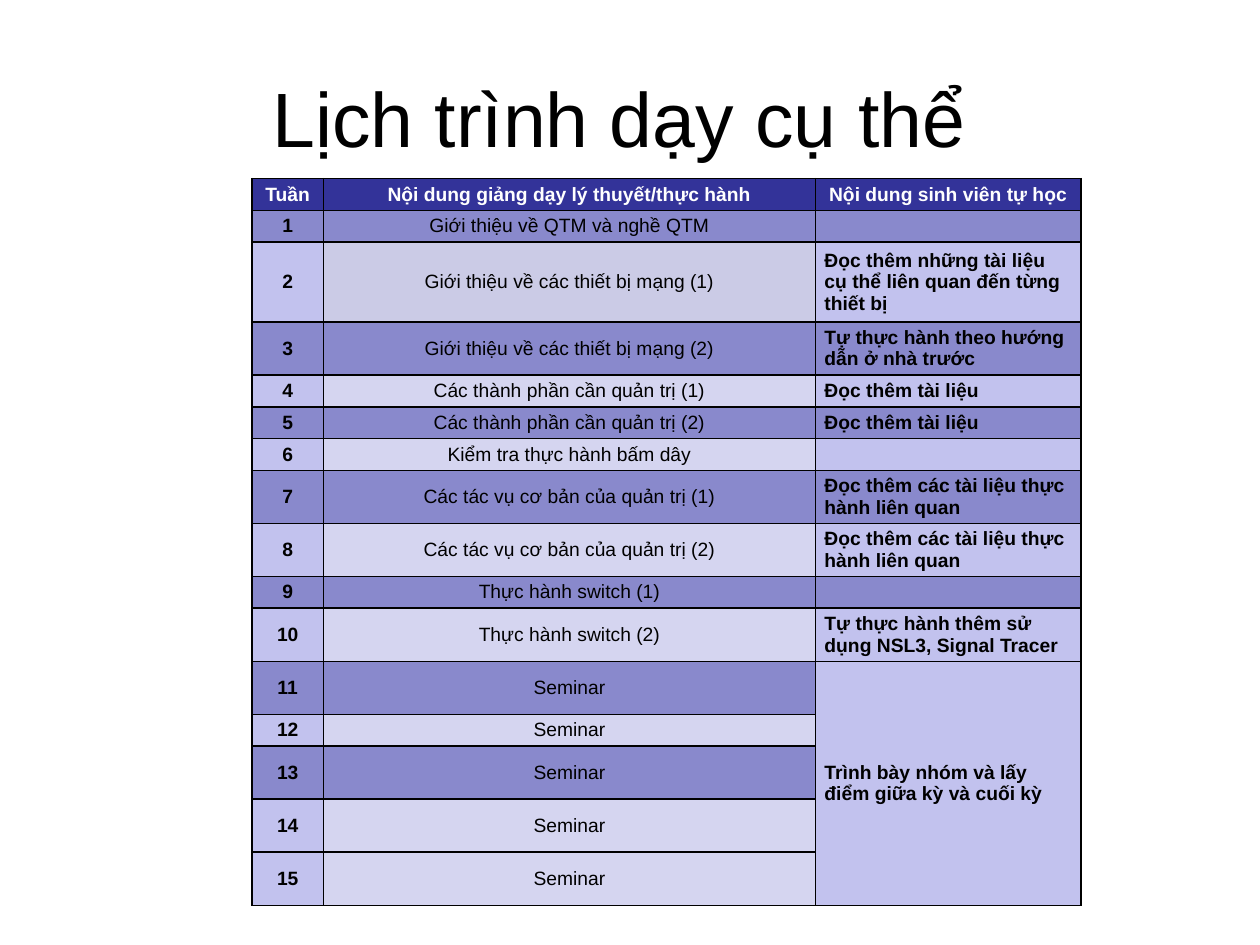
from lxml import etree
from pptx import Presentation
from pptx import util as u
from pptx.dml.color import RGBColor
from pptx.enum import text
from pptx.oxml.ns import qn

COLORS = {
    "ink": "000000", "paper": "FFFFFF", "header": "333399",
    "dark": "8989CC", "light": "C2C2EE", "topic": "D5D5F0", "topic_gray": "CBCBE6",
}
CENTER, LEFT = text.PP_ALIGN.CENTER, text.PP_ALIGN.LEFT
HEADINGS = ("Tuần", "Nội dung giảng dạy lý thuyết/thực hành", "Nội dung sinh viên tự học")
SHORT, MEDIUM, TALL = 0.64, 1.07, 1.61
COLUMN_WIDTHS = (1.44, 9.92, 5.35)
SEMINAR_START = 11

# Topic, self-study task and row height for weeks 1 to 15
WEEKS = [
    ("Giới thiệu về QTM và nghề QTM", "", SHORT),
    ("Giới thiệu về các thiết bị mạng (1)",
     "Đọc thêm những tài liệu cụ thể liên quan đến từng thiết bị ", TALL),
    ("Giới thiệu về các thiết bị mạng (2)", "Tự thực hành theo hướng dẫn ở nhà trước", MEDIUM),
    ("Các thành phần cần quản trị (1)", "Đọc thêm tài liệu", SHORT),
    ("Các thành phần cần quản trị (2)", "Đọc thêm tài liệu", SHORT),
    ("Kiểm tra thực hành bấm dây", "", SHORT),
    ("Các tác vụ cơ bản của quản trị (1)", "Đọc thêm các tài liệu thực hành liên quan", MEDIUM),
    ("Các tác vụ cơ bản của quản trị (2)", "Đọc thêm các tài liệu thực hành liên quan", MEDIUM),
    ("Thực hành switch (1)", "", SHORT),
    ("Thực hành switch (2)", "Tự thực hành thêm sử dụng NSL3, Signal Tracer", MEDIUM),
    ("Seminar", "Trình bày nhóm và lấy điểm giữa kỳ và cuối kỳ", MEDIUM),
    ("Seminar", "", SHORT),
    ("Seminar", "", MEDIUM),
    ("Seminar", "", MEDIUM),
    ("Seminar", "", MEDIUM),
]


def write(frame, words, size=11, color="ink", bold=False, align=CENTER):
    """Put one formatted paragraph into a text frame; empty words only set its size."""
    paragraph = frame.paragraphs[0]
    paragraph.alignment = align
    if not words:
        etree.SubElement(paragraph._p, qn("a:endParaRPr"), sz=str(size * 100))
        return
    run = paragraph.add_run()
    run.text = words
    run.font.name = "Arial"
    run.font.size = u.Pt(size)
    run.font.bold = bold
    run.font.color.rgb = RGBColor.from_string(COLORS[color])


class Deck:
    """Holds the presentation, its current slide and the shared style."""

    def __init__(self, width, height):
        """Start a deck with one blank slide."""
        self.show = Presentation()
        self.show.slide_width, self.show.slide_height = u.Cm(width), u.Cm(height)
        self.slide = self.show.slides.add_slide(self.show.slide_layouts[6])

    def title(self, words, left, top, width, height):
        """Add a large centred heading."""
        heading = self.slide.shapes.add_textbox(*map(u.Cm, (left, top, width, height)))
        heading.text_frame.word_wrap = True
        heading.text_frame.vertical_anchor = text.MSO_ANCHOR.MIDDLE
        write(heading.text_frame, words, size=44)

    def table(self, left, top, widths, heights):
        """Add an unbanded table with the given column widths and row heights."""
        grid = self.slide.shapes.add_table(
            len(heights), len(widths), u.Cm(left), u.Cm(top),
            u.Cm(sum(widths)), u.Cm(sum(heights))).table
        grid.horz_banding = False
        for column, width in zip(grid.columns, widths):
            column.width = u.Cm(width)
        for row, height in zip(grid.rows, heights):
            row.height = u.Cm(height)
        return grid

    def cell(self, cell, words, fill, **style):
        """Fill, border and write one table cell."""
        cell.margin_left = cell.margin_right = u.Cm(0.18)
        cell.margin_top = cell.margin_bottom = 0
        cell.vertical_anchor = text.MSO_ANCHOR.MIDDLE
        for side in ("lnL", "lnR", "lnT", "lnB"):
            border = etree.SubElement(cell._tc.get_or_add_tcPr(), qn(f"a:{side}"), w=str(u.Pt(1)))
            paint = etree.SubElement(border, qn("a:solidFill"))
            etree.SubElement(paint, qn("a:srgbClr"), val=COLORS["ink"])
        cell.fill.solid()
        cell.fill.fore_color.rgb = RGBColor.from_string(COLORS[fill])
        write(cell.text_frame, words, **style)


def build_schedule(deck):
    """Lay out the weekly teaching schedule."""
    heights = [SHORT] + [height for _, _, height in WEEKS]
    schedule = deck.table(5.08, 3.6, COLUMN_WIDTHS, heights)
    for column, heading in enumerate(HEADINGS):
        deck.cell(schedule.cell(0, column), heading, "header", color="paper", bold=True)
    for week, (topic, task, _) in enumerate(WEEKS, start=1):
        dark = week % 2 == 1 and week < len(WEEKS)
        band = "dark" if dark else "light"
        topic_fill = "dark" if dark else "topic_gray" if week == 2 else "topic"
        task_fill = "light" if week >= SEMINAR_START else band
        deck.cell(schedule.cell(week, 0), str(week), band, bold=True)
        deck.cell(schedule.cell(week, 1), topic, topic_fill)
        deck.cell(schedule.cell(week, 2), task, task_fill, bold=True, align=LEFT)
    schedule.cell(SEMINAR_START, 2).merge(schedule.cell(len(WEEKS), 2))


deck = Deck(25.4, 19.05)
deck.title("Lịch trình dạy cụ thể ", 1.27, 0.76, 22.86, 3.18)
build_schedule(deck)
deck.show.save("out.pptx")
